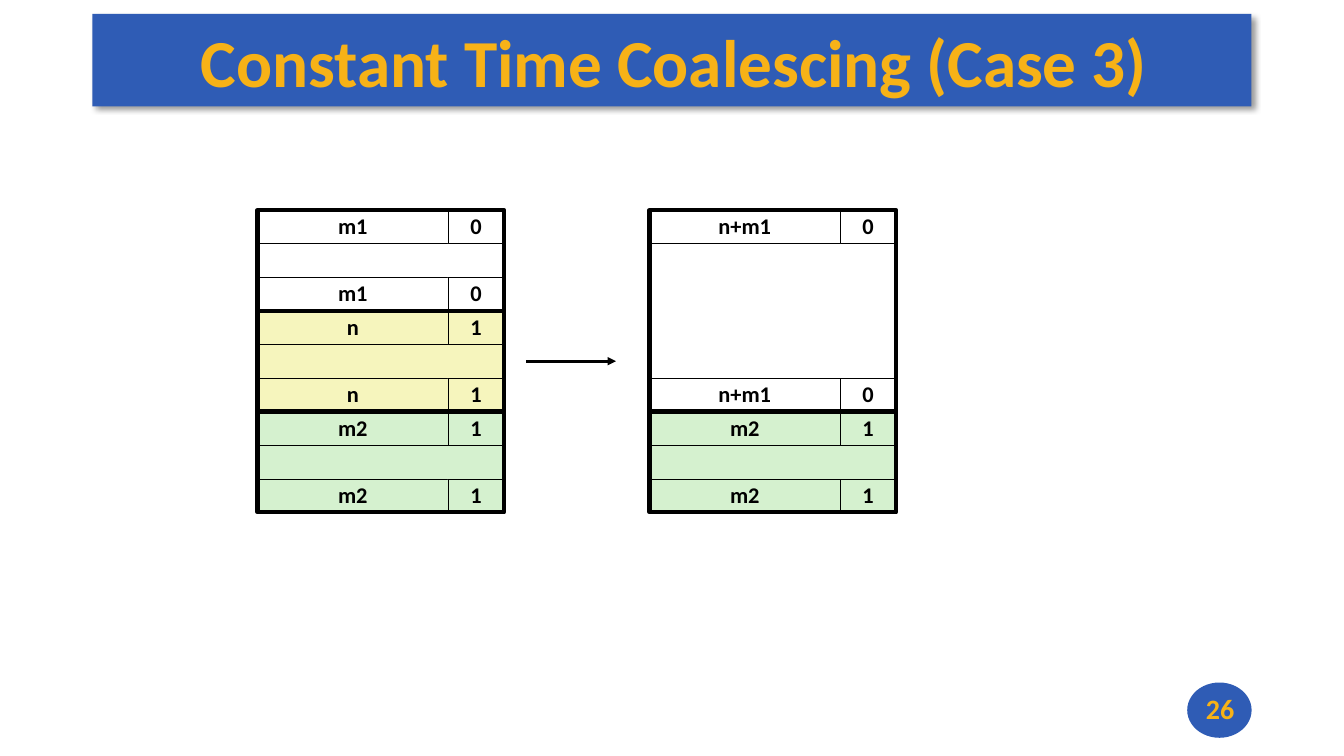
from lxml import etree
from pptx import Presentation
from pptx.dml.color import RGBColor
from pptx.enum.shapes import MSO_CONNECTOR, MSO_SHAPE
from pptx.enum.text import MSO_ANCHOR, PP_ALIGN
from pptx.oxml import parse_xml
from pptx.oxml.ns import nsdecls, qn
from pptx.util import Emu, Pt

# Content
TITLE = "Constant Time Coalescing (Case 3)"
PAGE_NUMBER = "26"
BLUE, GOLD, BLACK = "2F5CB5", "F7B217", "000000"
WHITE, YELLOW, GREEN = "FFFFFF", "F6F5BD", "D5F1CF"
# Each memory column: left edge and blocks of (size label, allocated flag, fill, rows)
COLUMNS = [
    (368, [("m1", "0", WHITE, 3), ("n", "1", YELLOW, 3), ("m2", "1", GREEN, 3)]),
    (928, [("n+m1", "0", WHITE, 6), ("m2", "1", GREEN, 3)]),
]

# Geometry in px, 144 to the inch
PX = 6350
COLUMN_TOP, ROW_HEIGHT = 300, 48
SIZE_WIDTH, FLAG_WIDTH = 272, 80
BLOCK_WIDTH = SIZE_WIDTH + FLAG_WIDTH
TITLE_BAR = (132, 20, 1656, 132)
TITLE_BOX = (130, 22, 1655, 130)
PAGE_BADGE = (1696, 975, 92, 79)
PAGE_BOX = (1696, 975, 94, 75)
ARROW = (752, 516, 880, 516)


def px(*lengths):
    return [Emu(length * PX) for length in lengths]


def color(value):
    return RGBColor.from_string(value)


def add_box(area, fill=None, line=None, width=0.25, kind=MSO_SHAPE.RECTANGLE):
    shape = slide.shapes.add_shape(kind, *px(*area))
    shape.shadow.inherit = False
    if fill:
        shape.fill.solid()
        shape.fill.fore_color.rgb = color(fill)
    else:
        shape.fill.background()
    if line:
        shape.line.color.rgb = color(line)
        shape.line.width = Pt(width)
    else:
        shape.line.fill.background()
    return shape


def set_text(shape, text, size, ink, insets=(14, 7, 14, 7), wrap=True):
    frame = shape.text_frame
    frame.word_wrap = wrap
    frame.vertical_anchor = MSO_ANCHOR.MIDDLE
    (frame.margin_left, frame.margin_top,
     frame.margin_right, frame.margin_bottom) = px(*insets)
    paragraph = frame.paragraphs[0]
    paragraph.text = text
    paragraph.alignment = PP_ALIGN.CENTER
    font = paragraph.font
    font.name, font.size, font.bold = "Calibri", Pt(size), True
    font.color.rgb = color(ink)
    return paragraph


def add_cell(left, top, width, text, fill):
    cell = add_box((left, top, width, ROW_HEIGHT), fill, BLACK)
    set_text(cell, text, 16, BLACK, wrap=False).line_spacing = 0.98


def add_block(left, top, label, flag, fill, rows):
    height = rows * ROW_HEIGHT
    footer_top = top + height - ROW_HEIGHT
    add_box((left, top + ROW_HEIGHT, BLOCK_WIDTH, height - 2 * ROW_HEIGHT), fill, BLACK)
    for tag_top in (top, footer_top):
        add_cell(left, tag_top, SIZE_WIDTH, label, fill)
        add_cell(left + SIZE_WIDTH, tag_top, FLAG_WIDTH, flag, fill)
    add_box((left, top, BLOCK_WIDTH, height), line=BLACK, width=3)
    return top + height


presentation = Presentation()
presentation.slide_width, presentation.slide_height = px(1920, 1080)
slide = presentation.slides.add_slide(presentation.slide_layouts[6])

# Title bar with soft shadow
bar = add_box(TITLE_BAR, BLUE)
effects = bar._element.spPr.find(qn("a:effectLst"))
effects.append(parse_xml(
    f'<a:outerShdw {nsdecls("a")} blurRad="50800" dist="38100" dir="2700000" '
    'algn="tl" rotWithShape="0"><a:srgbClr val="000000"><a:alpha val="40000"/>'
    '</a:srgbClr></a:outerShdw>'))
set_text(slide.shapes.add_textbox(*px(*TITLE_BOX)), TITLE, 48, GOLD, (12, 4, 0, 4))

# Memory before and after coalescing
for left, blocks in COLUMNS:
    top = COLUMN_TOP
    for block in blocks:
        top = add_block(left, top, *block)

# Arrow from before to after
arrow = slide.shapes.add_connector(MSO_CONNECTOR.STRAIGHT, *px(*ARROW))
arrow.line.color.rgb = color(BLACK)
arrow.line.width = Pt(2)
etree.SubElement(arrow.line._get_or_add_ln(), qn("a:tailEnd"), type="triangle")
etree.SubElement(arrow._element.spPr, qn("a:effectLst"))

# Page number
add_box(PAGE_BADGE, BLUE, kind=MSO_SHAPE.OVAL)
set_text(slide.shapes.add_textbox(*px(*PAGE_BOX)), PAGE_NUMBER, 20, GOLD)

presentation.save("out.pptx")
